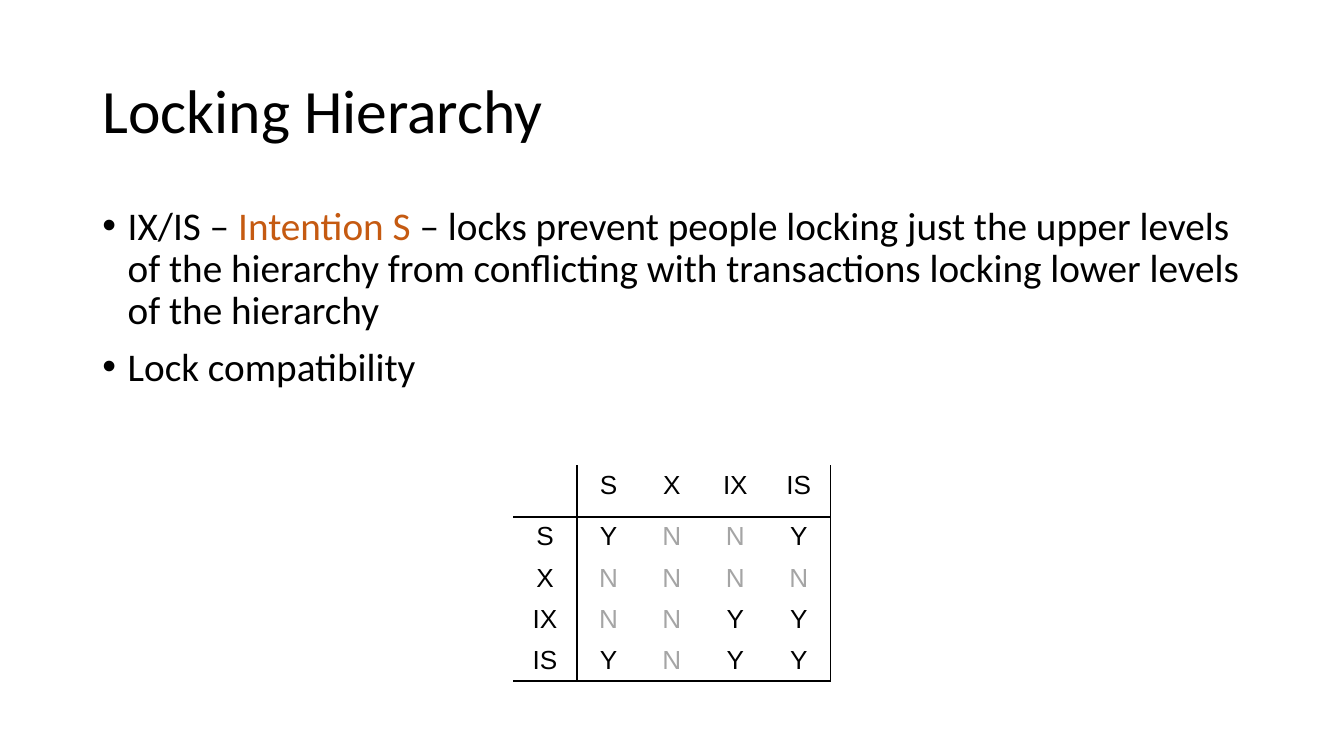
"""Build the locking hierarchy slide with its lock compatibility table."""
import pptx
import pptx.dml.color
import pptx.enum.text
import pptx.oxml.ns
import pptx.util
from lxml import etree

Pt = pptx.util.Pt
ALIGN = pptx.enum.text.PP_ALIGN
ANCHOR = pptx.enum.text.MSO_ANCHOR
BLACK, ORANGE, GREY = "000000", "C55A11", "A5A5A5"

TITLE = "Locking Hierarchy"
POINTS = [
    [("IX/IS – ", BLACK), ("Intention S", ORANGE),
     (" – locks prevent people locking just the upper levels of the hierarchy"
      " from conflicting with transactions locking lower levels of the hierarchy", BLACK)],
    [("Lock compatibility", BLACK)],
]
LOCKS = [
    ["", "S", "X", "IX", "IS"],
    ["S", "Y", "N", "N", "Y"],
    ["X", "N", "N", "N", "N"],
    ["IX", "N", "N", "Y", "Y"],
    ["IS", "Y", "N", "Y", "Y"],
]
LEFT, TOP, WIDE, HEAD, HIGH = 275, 249.2, 34, 25.7, 22


def color(code):
    return pptx.dml.color.RGBColor.from_string(code)


def write(para, text, size=14, font="Arial", fill=BLACK, align=ALIGN.LEFT, line=None):
    para.alignment = align
    if line:
        para.line_spacing = line
    run = para.add_run()
    run.text = text
    run.font.size, run.font.name = Pt(size), font
    run.font.color.rgb = color(fill)


def place(shape, left, top, width, height, anchor):
    shape.left, shape.top = Pt(left), Pt(top)
    shape.width, shape.height = Pt(width), Pt(height)
    frame = shape.text_frame
    frame.margin_left = frame.margin_right = Pt(5.4)
    frame.margin_top = frame.margin_bottom = Pt(2.7)
    frame.vertical_anchor = anchor
    frame.auto_size = pptx.enum.text.MSO_AUTO_SIZE.NONE
    return frame


def border(cell, sides):
    props = cell._tc.get_or_add_tcPr()
    qn = pptx.oxml.ns.qn
    for spot, side in enumerate("LRTB"):
        edge = etree.Element(qn("a:ln" + side), w=str(Pt(1)))
        if side in sides:
            fill = etree.SubElement(edge, qn("a:solidFill"))
            etree.SubElement(fill, qn("a:srgbClr"), val=BLACK)
        else:
            etree.SubElement(edge, qn("a:noFill"))
        props.insert(spot, edge)


def lines(row, col):
    last = len(LOCKS) - 1
    rules = {"L": col == 1, "R": col in (0, last), "T": row == 1, "B": row in (0, last)}
    return [side for side, drawn in rules.items() if drawn]


def grid(slide):
    count = len(LOCKS)
    high = HEAD + HIGH * (count - 1)
    table = slide.shapes.add_table(count, count, Pt(LEFT), Pt(TOP), Pt(WIDE * count), Pt(high)).table
    table.first_row = table.horz_banding = False
    for col in table.columns:
        col.width = Pt(WIDE)
    for r, row in enumerate(LOCKS):
        table.rows[r].height = Pt(HIGH if r else HEAD)
        for c, text in enumerate(row):
            cell = table.cell(r, c)
            cell.margin_left = cell.margin_right = Pt(5.76)
            cell.margin_top = cell.margin_bottom = Pt(2.88)
            cell.fill.background()
            border(cell, lines(r, c))
            if text:
                write(cell.text_frame.paragraphs[0], text, align=ALIGN.CENTER,
                      fill=GREY if text == "N" else BLACK)


def main():
    deck = pptx.Presentation()
    deck.slide_width, deck.slide_height = Pt(720), Pt(405)
    slide = deck.slides.add_slide(deck.slide_layouts[1])
    title, body = slide.placeholders
    frame = place(title, 49.5, 21.6, 621, 78.3, ANCHOR.MIDDLE)
    write(frame.paragraphs[0], TITLE, size=33, font="Calibri", line=0.9)
    frame = place(body, 49.5, 107.8, 621, 257, ANCHOR.TOP)
    for i, point in enumerate(POINTS):
        para = frame.add_paragraph() if i else frame.paragraphs[0]
        for text, fill in point:
            write(para, text, size=21, font="Calibri", fill=fill, line=0.9)
        para.space_before = Pt(7.5 if i else 0)
        props = para._p.get_or_add_pPr()
        props.set("marL", str(Pt(13.5)))
        props.set("indent", str(-Pt(13.5)))
    grid(slide)
    deck.save("out.pptx")


if __name__ == "__main__":
    main()
